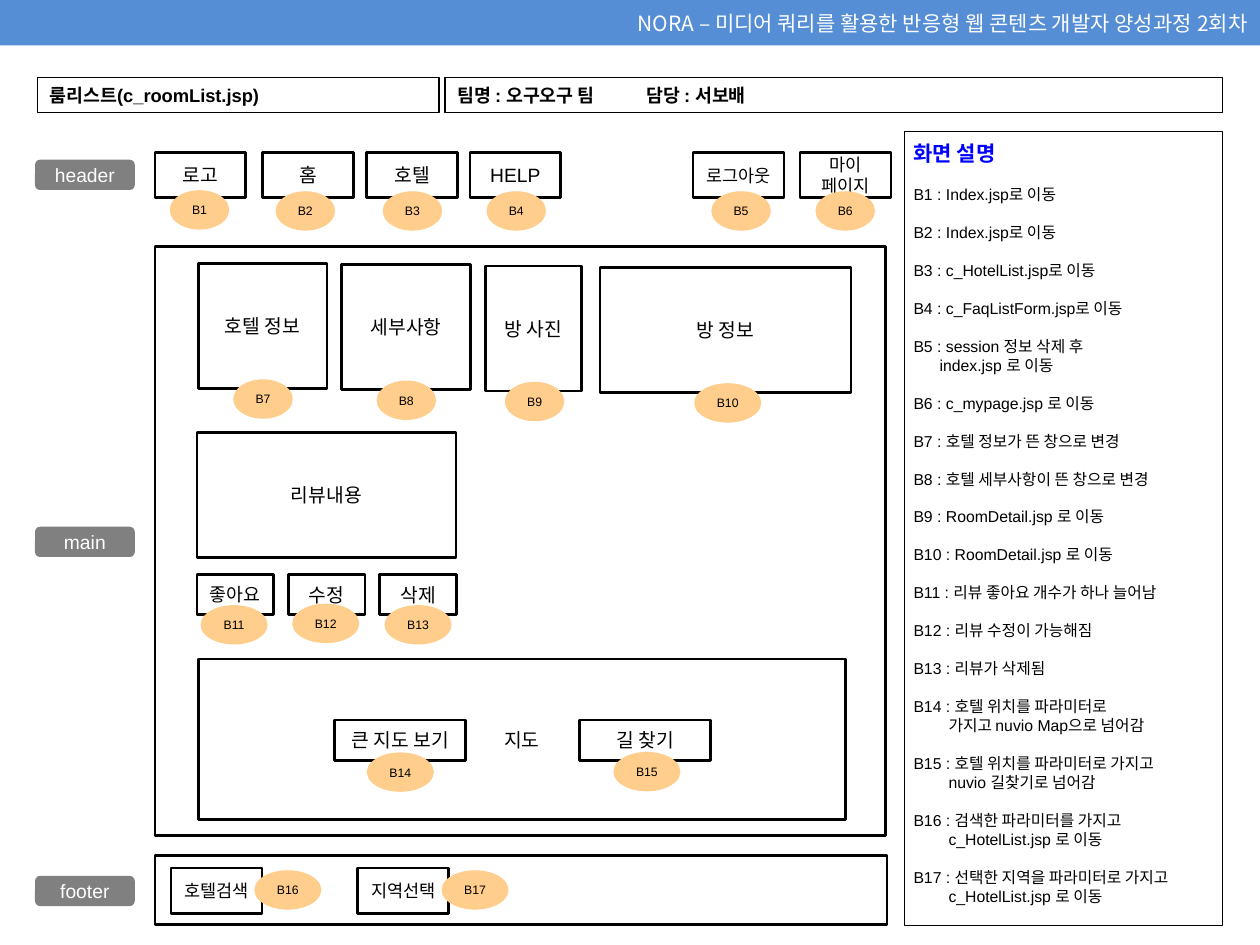
import pptx
import pptx.dml.color
import pptx.enum.shapes
import pptx.enum.text
import pptx.util
from lxml import etree

Pt = pptx.util.Pt
SHAPE = pptx.enum.shapes.MSO_SHAPE
ALIGN = pptx.enum.text.PP_ALIGN
ANCHOR = pptx.enum.text.MSO_ANCHOR


def rgb(value):
    return pptx.dml.color.RGBColor.from_string(value)


class Wireframe:
    """Style of the wireframe and the slide being drawn."""
    font = "Arial"
    ink, white = "000000", "FFFFFF"
    blue, bar_blue = "0000FF", "558ED5"
    grey, orange = "808080", "FFCD8C"

    def __init__(self, prs):
        self.s = prs.slides.add_slide(prs.slide_layouts[1])

    def place(self, sp, x, y, w, h):
        sp.left, sp.top, sp.width, sp.height = Pt(x), Pt(y), Pt(w), Pt(h)

    def paint(self, sp, fill=None, line=None):
        if fill:
            sp.fill.solid()
            sp.fill.fore_color.rgb = rgb(fill)
        else:
            sp.fill.background()
        if line:
            sp.line.color.rgb = rgb(self.ink)
            sp.line.width = Pt(line)
        else:
            sp.line.fill.background()

    def frame(self, sp, anchor, mx, my):
        tf = sp.text_frame
        tf.word_wrap = True
        tf.auto_size = pptx.enum.text.MSO_AUTO_SIZE.NONE
        tf.vertical_anchor = anchor
        tf.margin_left = tf.margin_right = Pt(mx)
        tf.margin_top = tf.margin_bottom = Pt(my)
        return tf

    def paragraph(self, tf, text, size, color, align=ALIGN.LEFT, bold=False, font=None):
        first = tf.paragraphs[0]
        p = tf.add_paragraph() if first.runs else first
        p.alignment = align
        r = p.add_run()
        r.text = text
        r.font.name = font or self.font
        r.font.size = Pt(size)
        r.font.bold = bold
        r.font.color.rgb = rgb(color)
        return p

    def shape(self, kind, area, fill=None, line=None):
        sp = self.s.shapes.add_shape(kind, 0, 0, 0, 0)
        self.place(sp, *area)
        self.paint(sp, fill, line)
        sp.shadow.inherit = False
        return sp

    def title(self, text, *area):
        sp = self.s.shapes.title
        self.place(sp, *area)
        self.paint(sp, fill=self.bar_blue)
        tf = self.frame(sp, ANCHOR.MIDDLE, 7.2, 0)
        self.paragraph(tf, text, 12, self.white, ALIGN.RIGHT, font="Noto Sans CJK KR")

    def description(self, heading, entries, *area):
        sp = self.s.placeholders[1]
        self.place(sp, *area)
        self.paint(sp, line=0.75)
        tf = self.frame(sp, ANCHOR.TOP, 5, 5)
        p = self.paragraph(tf, heading, 12, self.blue, bold=True, font="Calibri")
        self.spacing(p, 14.5, 0, 0)
        for lines, indent in entries:
            for i, text in enumerate(lines):
                p = self.paragraph(tf, text, 9, self.ink)
                self.spacing(p, 10.9, 0 if i else 10.75, indent if i else 0)

    def spacing(self, p, line, before, indent):
        p.line_spacing, p.space_before, p.space_after = Pt(line), Pt(before), Pt(0)
        pPr = p._p.get_or_add_pPr()
        pPr.set("marL", str(Pt(indent)))
        pPr.set("indent", "0")
        etree.SubElement(pPr, pptx.oxml.ns.qn("a:buNone"))

    def box(self, text, size, *area):
        sp = self.shape(SHAPE.RECTANGLE, area, line=1.5)
        tf = self.frame(sp, ANCHOR.MIDDLE, 5, 3)
        for part in text.split("\n") if text else []:
            self.paragraph(tf, part, size, self.ink, ALIGN.CENTER)

    def caption(self, text, *area):
        sp = self.shape(SHAPE.RECTANGLE, area, line=0.75)
        tf = self.frame(sp, ANCHOR.MIDDLE, 7.2, 0)
        self.paragraph(tf, text, 10.5, self.ink, bold=True)

    def section(self, text, y):
        sp = self.shape(SHAPE.ROUNDED_RECTANGLE, (20, y, 57, 17.3), fill=self.grey)
        tf = self.frame(sp, ANCHOR.MIDDLE, 0, 0)
        self.paragraph(tf, text, 11, self.white, ALIGN.CENTER)

    def badge(self, number, x, y):
        width = 34 if number < 10 else 38.3
        sp = self.shape(SHAPE.OVAL, (x, y, width, 22.5), fill=self.orange)
        tf = self.frame(sp, ANCHOR.MIDDLE, 0, 0)
        self.paragraph(tf, f"B{number}", 7, self.ink, ALIGN.CENTER)


# Description entries: lines, indent of the second line
ENTRIES = [
    (["B1 : Index.jsp로 이동"], 0),
    (["B2 : Index.jsp로 이동"], 0),
    (["B3 : c_HotelList.jsp로 이동"], 0),
    (["B4 : c_FaqListForm.jsp로 이동"], 0),
    (["B5 : session 정보 삭제 후", "index.jsp 로 이동"], 15),
    (["B6 : c_mypage.jsp 로 이동"], 0),
    (["B7 : 호텔 정보가 뜬 창으로 변경"], 0),
    (["B8 : 호텔 세부사항이 뜬 창으로 변경"], 0),
    (["B9 : RoomDetail.jsp 로 이동"], 0),
    (["B10 : RoomDetail.jsp 로 이동"], 0),
    (["B11 : 리뷰 좋아요 개수가 하나 늘어남"], 0),
    (["B12 : 리뷰 수정이 가능해짐"], 0),
    (["B13 : 리뷰가 삭제됨"], 0),
    (["B14 : 호텔 위치를 파라미터로", "가지고 nuvio Map으로 넘어감"], 20),
    (["B15 : 호텔 위치를 파라미터로 가지고", "nuvio 길찾기로 넘어감"], 20),
    (["B16 : 검색한 파라미터를 가지고", "c_HotelList.jsp 로 이동"], 20),
    (["B17 : 선택한 지역을 파라미터로 가지고", "c_HotelList.jsp 로 이동"], 20),
]

# Containers and unnumbered boxes: text, x, y, width, height
PANELS = [
    ("", 88.5, 141, 417.5, 336.5),
    ("지도", 113.5, 376.5, 369.5, 92),
    ("리뷰내용", 112.5, 247, 148, 71.5),
    ("", 88.5, 489, 418.5, 39.5),
]

# Numbered boxes in order B1 to B17: text, size, x, y, width, height, badge x, badge y
BUTTONS = [
    ("로고", 11, 88.5, 87, 52, 26, 97, 108.7),
    ("홈", 11, 150, 87, 52, 26, 157.5, 109.3),
    ("호텔", 11, 209.5, 87, 52, 26, 218.7, 109.3),
    ("HELP", 11, 268.5, 87, 52, 26, 278, 109.3),
    ("로그아웃", 10, 396, 87, 52, 26, 406.5, 109.3),
    ("마이\n페이지", 10, 457.2, 87, 52, 26, 466, 109.3),
    ("호텔 정보", 11, 113.3, 150.5, 73.5, 71.5, 133.3, 216.8),
    ("세부사항", 11, 195.3, 151.3, 73.5, 71.5, 215.2, 217.5),
    ("방 사진", 11, 277.5, 152, 55, 71.5, 288.5, 218.2),
    ("방 정보", 11, 342.8, 152.8, 143.5, 71.5, 396.7, 219),
    ("좋아요", 10.5, 112.5, 328.2, 43.8, 23, 114.6, 345.8),
    ("수정", 11, 164.8, 328.2, 43.8, 23, 167, 345),
    ("삭제", 11, 217, 328.2, 43.8, 23, 219.7, 345.8),
    ("큰 지도 보기", 11, 191.2, 411.5, 75, 23, 209.6, 430),
    ("길 찾기", 11, 331.2, 411.5, 75, 23, 350.5, 429.7),
    ("호텔검색", 10, 97.8, 496, 52, 26, 145.3, 497.3),
    ("지역선택", 10, 204.5, 496, 52, 26, 252.3, 497.3),
]


def main():
    prs = pptx.Presentation()
    prs.slide_width, prs.slide_height = Pt(720), Pt(540)
    w = Wireframe(prs)

    # Title bar, captions and description list
    w.title("NORA – 미디어 쿼리를 활용한 반응형 웹 콘텐츠 개발자 양성과정 2회차", 0, 0, 720, 26)
    w.caption("룸리스트(c_roomList.jsp)", 21.5, 44.5, 229.5, 20)
    w.caption("팀명 : 오구오구 팀\t담당 : 서보배", 254.3, 44.5, 444.3, 20)
    w.description("화면 설명", ENTRIES, 517, 75.3, 181.5, 453.5)

    # Page sections
    for name, y in (("header", 91.3), ("main", 301), ("footer", 500.5)):
        w.section(name, y)
    for text, *area in PANELS:
        w.box(text, 11, *area)

    # Numbered boxes and their badges
    for number, (text, size, *area, bx, by) in enumerate(BUTTONS, 1):
        w.box(text, size, *area)
        w.badge(number, bx, by)

    prs.save("out.pptx")


if __name__ == "__main__":
    main()
